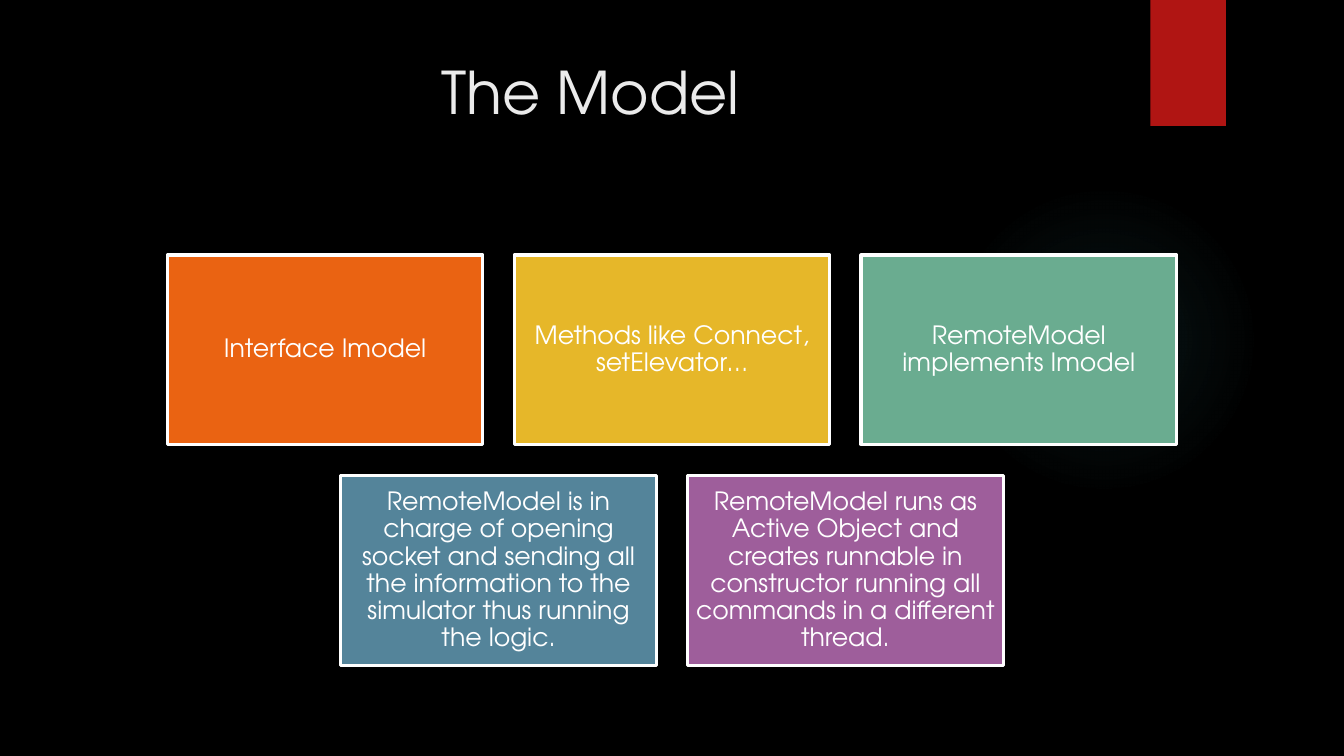
import pptx
import pptx.util
import pptx.dml.color
import pptx.enum.shapes
import pptx.enum.text
import pptx.oxml
import pptx.oxml.ns

Inches, Pt = pptx.util.Inches, pptx.util.Pt
RGBColor = pptx.dml.color.RGBColor
SHAPE = pptx.enum.shapes.MSO_SHAPE
ANCHOR = pptx.enum.text.MSO_ANCHOR

BLACK = RGBColor(0x00, 0x00, 0x00)
WHITE = RGBColor(0xFF, 0xFF, 0xFF)
TITLE_GREY = RGBColor(0xEB, 0xEB, 0xEB)
RED = RGBColor(0xB0, 0x15, 0x13)
ORANGE = RGBColor(0xEA, 0x63, 0x12)
YELLOW = RGBColor(0xE6, 0xB7, 0x29)
GREEN = RGBColor(0x6A, 0xAC, 0x90)
BLUE = RGBColor(0x54, 0x84, 0x9A)
PURPLE = RGBColor(0x9E, 0x5E, 0x9B)
GLOW = RGBColor(0x50, 0xB9, 0xC1)

FONT = "TeX Gyre Adventor"
TITLE = "The Model"
CARD_ROWS = [
    [("Interface Imodel", ORANGE),
     ("Methods like Connect, setElevator…", YELLOW),
     ("RemoteModel implements Imodel", GREEN)],
    [("RemoteModel is in charge of opening socket and sending all the "
      "information to the simulator thus running the logic.", BLUE),
     ("RemoteModel runs as Active Object and creates runnable in "
      "constructor running all commands in a different thread.", PURPLE)],
]
GLOW_STOPS = [(0, 7), (36, 6), (69, 0)]  # position %, opacity %

SLIDE_W, SLIDE_H = 13.33, 7.5
CARD_W, CARD_H, GAP = 3.13, 1.88, 0.31
CARDS_TOP = 2.53


def add_shape(kind, box, fill=None, line=None):
    """Add a shadowless preset shape with an optional fill and outline."""
    sp = slide.shapes.add_shape(kind, *map(Inches, box))
    sp.shadow.inherit = False
    if fill is not None:
        sp.fill.solid()
        sp.fill.fore_color.rgb = fill
    if line is None:
        sp.line.fill.background()
    else:
        sp.line.color.rgb = line
        sp.line.width = Pt(2.25)
    return sp


def write(sp, text, size, color, anchor=ANCHOR.MIDDLE, inset=None, spacing=None):
    """Put one centred, wrapped paragraph into a shape."""
    tf = sp.text_frame
    tf.word_wrap = True
    tf.vertical_anchor = anchor
    if inset is not None:
        tf.margin_left = tf.margin_right = Inches(inset)
        tf.margin_top = tf.margin_bottom = Inches(inset)
    p = tf.paragraphs[0]
    p.alignment = pptx.enum.text.PP_ALIGN.CENTER
    p.line_spacing = spacing
    r = p.add_run()
    r.text = text
    r.font.name, r.font.size = FONT, Pt(size)
    r.font.color.rgb = color


def add_glow(box):
    """Add a circle that fades out from its centre."""
    sp = add_shape(SHAPE.OVAL, box, GLOW)
    stops = "".join(
        f'<a:gs pos="{pos * 1000}"><a:srgbClr val="{GLOW}">'
        f'<a:alpha val="{alpha * 1000}"/></a:srgbClr></a:gs>'
        for pos, alpha in GLOW_STOPS)
    grad = pptx.oxml.parse_xml(
        f'<a:gradFill {pptx.oxml.ns.nsdecls("a")}><a:gsLst>{stops}</a:gsLst>'
        '<a:path path="circle"><a:fillToRect l="50000" t="50000" r="50000" '
        'b="50000"/></a:path></a:gradFill>')
    props = sp.element.spPr
    props.replace(props.find(pptx.oxml.ns.qn("a:solidFill")), grad)


def add_cards():
    """Lay out each row of cards centred on the slide."""
    for row, cards in enumerate(CARD_ROWS):
        row_w = len(cards) * (CARD_W + GAP) - GAP
        top = CARDS_TOP + row * (CARD_H + GAP)
        for col, (text, color) in enumerate(cards):
            left = (SLIDE_W - row_w) / 2 + col * (CARD_W + GAP)
            sp = add_shape(SHAPE.RECTANGLE, (left, top, CARD_W, CARD_H), color, WHITE)
            write(sp, text, 18, WHITE, inset=0.07, spacing=0.9)


prs = pptx.Presentation()
prs.slide_width, prs.slide_height = Inches(SLIDE_W), Inches(SLIDE_H)
slide = prs.slides.add_slide(prs.slide_layouts[6])
slide.background.fill.solid()
slide.background.fill.fore_color.rgb = BLACK

add_glow((9.41, 1.83, 3.08, 3.08))
add_shape(SHAPE.RECTANGLE, (11.41, 0, 0.75, 1.25), RED)
title = slide.shapes.add_textbox(*map(Inches, (0.71, 0.5, 10.29, 1.53)))
write(title, TITLE, 42, TITLE_GREY, anchor=ANCHOR.TOP)
add_cards()

prs.save("out.pptx")
